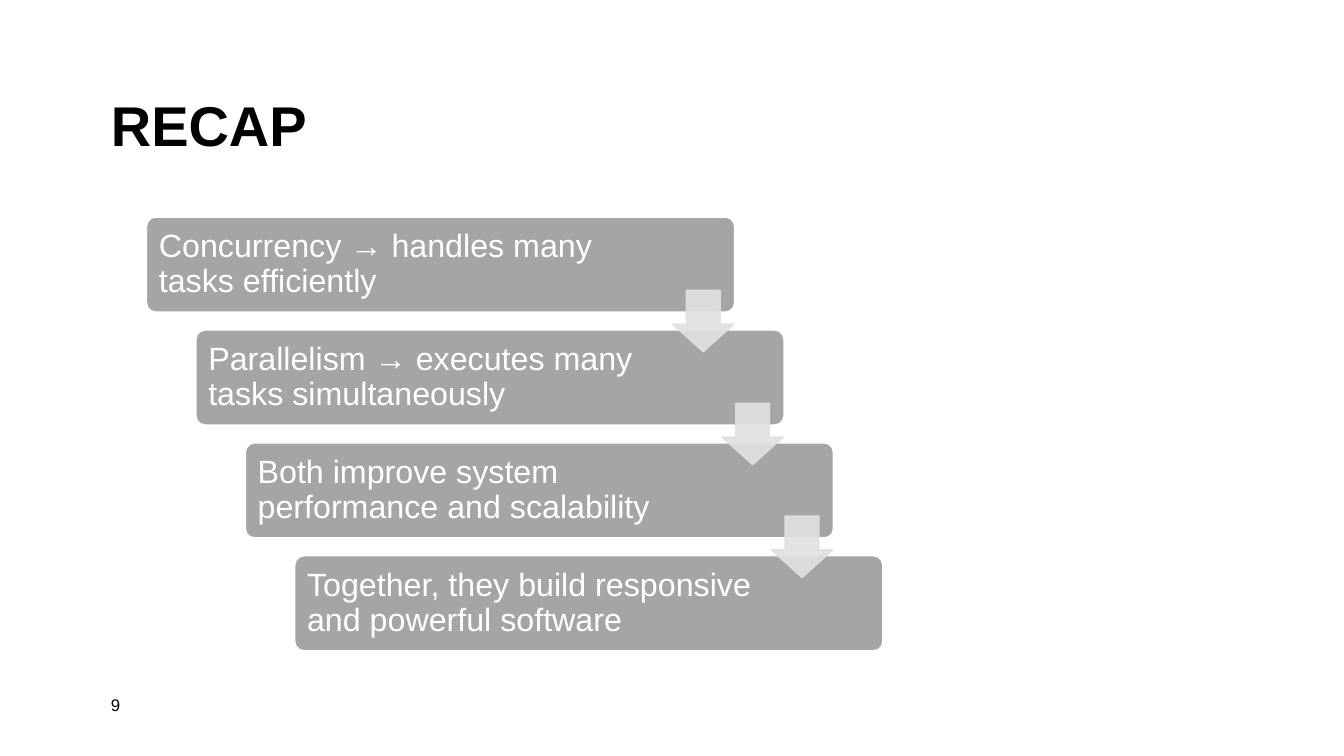
from dataclasses import dataclass

from lxml import etree
from pptx import Presentation
from pptx import util as u
from pptx.dml.color import RGBColor
from pptx.enum import shapes, text
from pptx.oxml.ns import qn


@dataclass(frozen=True)
class Theme:
    font: str = "Arial"
    ink: str = "000000"
    paper: str = "FFFFFF"
    step: str = "A5A5A5"
    arrow: str = "E1E1E1"
    arrow_opacity: int = 90
    title_size: int = 40
    step_size: int = 23
    number_size: int = 12


class RecapSlide:
    def __init__(self, presentation, theme):
        self.theme = theme
        self.slide = presentation.slides.add_slide(presentation.slide_layouts[5])

    def set_text(self, shape, content, size, color, bold=False, spacing=1.0):
        frame = shape.text_frame
        frame.text = content
        frame.word_wrap = True
        frame.auto_size = text.MSO_AUTO_SIZE.NONE
        frame.vertical_anchor = text.MSO_ANCHOR.MIDDLE
        paragraph = frame.paragraphs[0]
        paragraph.alignment = text.PP_ALIGN.LEFT
        paragraph.line_spacing = spacing
        font = paragraph.runs[0].font
        font.name = self.theme.font
        font.size = u.Pt(size)
        font.bold = bold
        font.color.rgb = RGBColor.from_string(color)

    def add_title(self, content, left, top, width, height):
        title = self.slide.shapes.title
        title.left, title.top = u.Inches(left), u.Inches(top)
        title.width, title.height = u.Inches(width), u.Inches(height)
        self.set_text(title, content, self.theme.title_size, self.theme.ink, True, 0.9)

    def add_number(self, content, left, top, width, height):
        box = self.slide.shapes.add_textbox(
            u.Inches(left), u.Inches(top), u.Inches(width), u.Inches(height))
        self.set_text(box, content, self.theme.number_size, self.theme.ink)

    def add_shape(self, kind, left, top, width, height, fill, line, line_width, adjustments):
        shape = self.slide.shapes.add_shape(
            kind, u.Inches(left), u.Inches(top), u.Inches(width), u.Inches(height))
        shape.shadow.inherit = False
        shape.fill.solid()
        shape.fill.fore_color.rgb = RGBColor.from_string(fill)
        shape.line.color.rgb = RGBColor.from_string(line)
        shape.line.width = u.Pt(line_width)
        for index, value in enumerate(adjustments):
            shape.adjustments[index] = value
        return shape

    def add_step(self, content, left, top, width, height):
        step = self.add_shape(
            shapes.MSO_SHAPE.ROUNDED_RECTANGLE, left, top, width, height,
            self.theme.step, self.theme.paper, 1.5, [0.1])
        self.set_text(step, content, self.theme.step_size, self.theme.paper, spacing=0.9)
        step.text_frame.margin_left = u.Inches(0.1)
        step.text_frame.margin_right = u.Inches(1.2)

    def add_arrow(self, left, top, size):
        arrow = self.add_shape(
            shapes.MSO_SHAPE.DOWN_ARROW, left, top, size, size,
            self.theme.arrow, self.theme.arrow, 1, [0.55, 0.45])
        for color in arrow._element.spPr.iter(qn("a:srgbClr")):
            alpha = etree.SubElement(color, qn("a:alpha"))
            alpha.set("val", str(self.theme.arrow_opacity * 1000))


def main():
    presentation = Presentation()
    presentation.slide_width = u.Inches(13.33)
    presentation.slide_height = u.Inches(7.5)

    recap = RecapSlide(presentation, Theme())
    recap.add_title("RECAP", 1, 0.4, 11.33, 1.75)
    recap.add_number("9", 1, 6.83, 0.69, 0.32)

    steps = [
        "Concurrency → handles many tasks efficiently",
        "Parallelism → executes many tasks simultaneously",
        "Both improve system performance and scalability",
        "Together, they build responsive and powerful software",
    ]
    left, top, shift, drop = 1.45, 2.15, 0.49, 1.12
    for index, content in enumerate(steps):
        recap.add_step(content, left + index * shift, top + index * drop, 5.84, 0.95)
    for index in range(len(steps) - 1):
        recap.add_arrow(left + 5.22 + index * shift, top + 0.73 + index * drop, 0.61)

    presentation.save("out.pptx")


if __name__ == "__main__":
    main()
